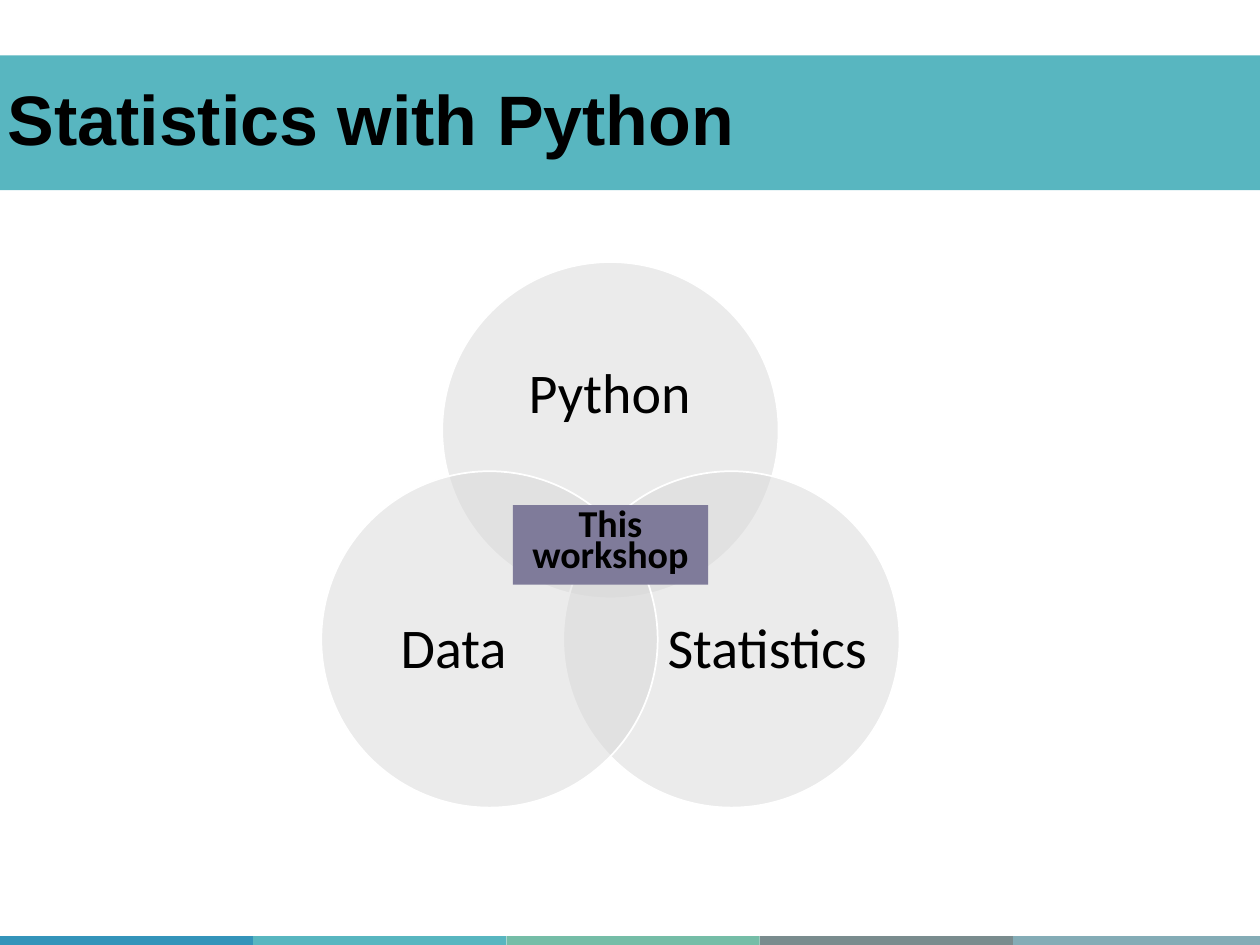
import lxml.etree
import pptx
import pptx.dml.color
import pptx.enum.shapes
import pptx.enum.text
import pptx.oxml.ns
import pptx.util

Inches = pptx.util.Inches
Kind = pptx.enum.shapes.MSO_SHAPE
Align = pptx.enum.text.PP_ALIGN
Anchor = pptx.enum.text.MSO_ANCHOR
qn = pptx.oxml.ns.qn

HUES = {
    "blue": "3494BA", "teal": "58B6C0", "green": "75BDA7", "slate": "7A8C8E",
    "mist": "84ACB6", "grey": "D9D9D9", "plum": "7F7B9A",
    "white": "FFFFFF", "black": "000000",
}
FONTS = {
    "title": {"name": "Arial", "size": pptx.util.Pt(40), "bold": True},
    "label": {"name": "Calibri", "size": pptx.util.Pt(32), "bold": False},
    "focus": {"name": "Calibri", "size": pptx.util.Pt(21.7), "bold": True},
}
PARAS = {
    "title": {"alignment": Align.LEFT, "line_spacing": 0.9},
    "label": {"alignment": Align.CENTER, "line_spacing": 0.9},
    "focus": {"alignment": Align.CENTER, "line_spacing": 0.7,
              "space_before": pptx.util.Pt(10)},
}
FRAMES = {
    "title": {"vertical_anchor": Anchor.MIDDLE},
    "label": {"vertical_anchor": Anchor.MIDDLE, "margin_left": 0,
              "margin_right": 0, "margin_top": 0, "margin_bottom": 0},
    "focus": {"vertical_anchor": Anchor.TOP},
}


def assign(item, values):
    """Set each named value on the item."""
    for name, value in values.items():
        setattr(item, name, value)


class Board:
    """Hold the style and the current slide."""

    def __init__(self, slide):
        """Keep the slide to draw on."""
        self.slide = slide

    def color(self, name):
        """Return the named colour."""
        return pptx.dml.color.RGBColor.from_string(HUES[name])

    def paint(self, shape, hue):
        """Fill a shape with one colour."""
        shape.fill.solid()
        shape.fill.fore_color.rgb = self.color(hue)

    def letter(self, shape, text, role):
        """Put styled text into a shape."""
        frame = shape.text_frame
        frame.text = text
        frame.word_wrap = True
        frame.auto_size = pptx.enum.text.MSO_AUTO_SIZE.NONE
        assign(frame, FRAMES[role])
        para = frame.paragraphs[0]
        assign(para, PARAS[role])
        font = para.runs[0].font
        assign(font, FONTS[role])
        font.color.rgb = self.color("black")

    def shape(self, kind, box, hue):
        """Add a filled shape without a line."""
        shape = self.slide.shapes.add_shape(kind, *map(Inches, box))
        shape.shadow.inherit = False
        self.paint(shape, hue)
        shape.line.fill.background()
        return shape

    def circle(self, left, top, size):
        """Add a half clear circle with a white rim."""
        disc = self.shape(Kind.OVAL, (left, top, size, size), "grey")
        tint = disc.element.find(".//" + qn("a:srgbClr"))
        lxml.etree.SubElement(tint, qn("a:alpha"), val="50000")
        disc.line.color.rgb = self.color("white")
        disc.line.width = pptx.util.Pt(1)

    def label(self, text, box):
        """Add a centred text box."""
        self.letter(self.slide.shapes.add_textbox(*map(Inches, box)), text, "label")

    def holder(self, index, text, box, hue, role):
        """Move, fill and letter a placeholder, in front of the rest."""
        shape = self.slide.placeholders[index]
        sides = ("left", "top", "width", "height")
        assign(shape, dict(zip(sides, map(Inches, box))))
        self.paint(shape, hue)
        self.letter(shape, text, role)
        props = shape.element.find(".//" + qn("a:pPr"))
        props.set("marL", "0")
        props.set("indent", "0")
        lxml.etree.SubElement(props, qn("a:buNone"))
        shape.element.getparent().append(shape.element)


def main():
    """Build the slide and save it."""
    deck = pptx.Presentation()
    deck.slide_width, deck.slide_height = Inches(10), Inches(7.5)
    board = Board(deck.slides.add_slide(deck.slide_layouts[1]))

    step = 2.01
    for spot, hue in enumerate(("blue", "teal", "green", "slate", "mist")):
        board.shape(Kind.RECTANGLE, (spot * step, 7.43, step, 0.1), hue)

    board.holder(0, "Statistics with Python", (-0.04, 0.44, 10.16, 1.07),
                 "teal", "title")

    venn = (
        ("Python", 3.51, 2.08, (3.86, 2.54, 1.96, 1.2)),
        ("Statistics", 4.47, 3.74, (5.29, 4.43, 1.6, 1.47)),
        ("Data", 2.55, 3.74, (2.8, 4.43, 1.6, 1.47)),
    )
    for text, left, top, box in venn:
        board.circle(left, top, 2.67)
        board.label(text, box)

    board.holder(1, "This workshop", (4.07, 4.01, 1.55, 0.63), "plum", "focus")
    deck.save("out.pptx")


if __name__ == "__main__":
    main()
